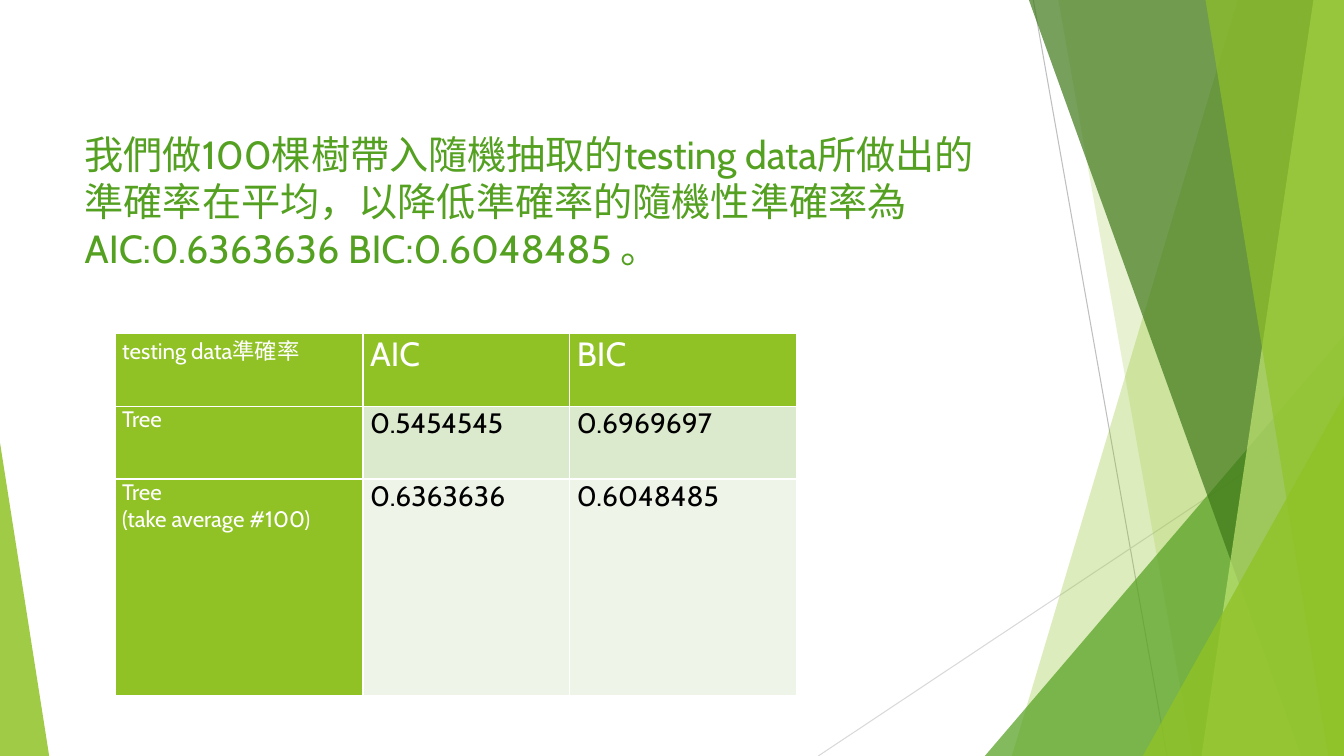
from lxml.etree import SubElement
from pptx import Presentation
from pptx.dml.color import RGBColor
from pptx.enum.shapes import MSO_CONNECTOR as Connector, MSO_SHAPE as Shape
from pptx.enum.text import MSO_ANCHOR as Anchor, MSO_AUTO_SIZE as AutoSize
from pptx.oxml.ns import qn
from pptx.util import Cm, Pt

LIME = RGBColor(0x90, 0xC2, 0x26)
GREEN = RGBColor(0x54, 0xA0, 0x21)
FOREST = RGBColor(0x3F, 0x78, 0x19)
PALE_LIME = RGBColor(0xC0, 0xE4, 0x74)
ROW_TINTS = [RGBColor(0xDB, 0xE9, 0xCD), RGBColor(0xEE, 0xF4, 0xE8)]
GRAY = RGBColor(0xBF, 0xBF, 0xBF)
LIGHT_GRAY = RGBColor(0xD9, 0xD9, 0xD9)
WHITE = RGBColor(0xFF, 0xFF, 0xFF)
BLACK = RGBColor(0, 0, 0)

FONT = "Cabin"
WIDTH, HEIGHT = 33.87, 19.05
STATEMENT = (
    "我們做100棵樹帶入隨機抽取的testing data所做出的準確率在平均，"
    "以降低準確率的隨機性準確率為AIC:0.6363636 BIC:0.6048485 。"
)
ACCURACY = [
    ["testing data準確率", "AIC", "BIC"],
    ["Tree", "0.5454545", "0.6969697"],
    ["Tree\n(take average #100)", "0.6363636", "0.6048485"],
]
COLUMN_WIDTHS = [6.25, 5.21, 5.72]
ROW_HEIGHTS = [1.83, 1.83, 5.46]


def add_run(paragraph, text, size, color):
    run = paragraph.add_run()
    run.text = text
    run.font.name = FONT
    run.font.size = Pt(size)
    run.font.bold = False
    run.font.color.rgb = color


def add_line(slide, start, end, color):
    line = slide.shapes.add_connector(Connector.STRAIGHT, *map(Cm, start + end))
    line.line.color.rgb = color
    line.line.width = Pt(0.75)
    SubElement(line._element.spPr, qn("a:effectLst"))


def paint(shape, color, opacity):
    shape.shadow.inherit = False
    shape.line.fill.background()
    shape.fill.solid()
    shape.fill.fore_color.rgb = color
    color_element = shape.fill._xPr.find(qn("a:solidFill"))[0]
    SubElement(color_element, qn("a:alpha"), val=str(opacity * 1000))


def add_band(slide, top_x, bottom_x, color, opacity):
    builder = slide.shapes.build_freeform(Cm(top_x), 0)
    corners = [(WIDTH, 0), (WIDTH, HEIGHT), (bottom_x, HEIGHT)]
    builder.add_line_segments([(Cm(x), Cm(y)) for x, y in corners], close=True)
    paint(builder.convert_to_shape(), color, opacity)


def add_wedge(slide, left, top, width, apex, color, opacity):
    box = map(Cm, (left, top, width, HEIGHT - top))
    wedge = slide.shapes.add_shape(Shape.ISOSCELES_TRIANGLE, *box)
    wedge.adjustments[0] = apex
    paint(wedge, color, opacity)


def add_decoration(slide):
    add_line(slide, (26.04, 0), (29.41, HEIGHT), GRAY)
    add_line(slide, (WIDTH, 10.24), (20.62, HEIGHT), LIGHT_GRAY)
    add_band(slide, 31.19, 25.5, LIME, 30)
    add_band(slide, 26.67, 30.05, LIME, 20)
    add_wedge(slide, 24.82, 8.46, 9.05, 1, GREEN, 72)
    add_band(slide, 25.93, 32.79, FOREST, 70)
    add_band(slide, 33.1, 30.28, PALE_LIME, 70)
    add_band(slide, 30.38, 33.48, LIME, 65)
    add_wedge(slide, 28.8, 9.98, 5.07, 1, LIME, 80)
    add_wedge(slide, 0, 11.15, 1.24, 0, LIME, 85)


def fill_body(body):
    body.left, body.top, body.width, body.height = map(Cm, (1.88, 3.15, 23.88, 13.64))
    frame = body.text_frame
    frame.word_wrap = True
    frame.auto_size = AutoSize.NONE
    frame.vertical_anchor = Anchor.TOP
    paragraph = frame.paragraphs[0]
    paragraph.space_before = Pt(10)
    properties = paragraph._p.get_or_add_pPr()
    properties.set("marL", "0")
    properties.set("indent", "0")
    SubElement(properties, qn("a:buNone"))
    add_run(paragraph, STATEMENT, 28, GREEN)


def add_borders(cell):
    properties = cell._tc.get_or_add_tcPr()
    for side in ("lnL", "lnR", "lnT", "lnB"):
        border = SubElement(properties, qn(f"a:{side}"), w=str(Pt(1)))
        fill = SubElement(border, qn("a:solidFill"))
        SubElement(fill, qn("a:srgbClr"), val=str(WHITE))


def fill_cell(cell, text, size, color, background):
    add_borders(cell)
    cell.fill.solid()
    cell.fill.fore_color.rgb = background
    cell.margin_left = cell.margin_right = Cm(0.18)
    cell.margin_top = cell.margin_bottom = 0
    frame = cell.text_frame
    for index, line in enumerate(text.split("\n")):
        paragraph = frame.add_paragraph() if index else frame.paragraphs[0]
        add_run(paragraph, line, size, color)


def add_accuracy_table(slide):
    box = map(Cm, (2.9, 8.41, sum(COLUMN_WIDTHS), sum(ROW_HEIGHTS)))
    table = slide.shapes.add_table(len(ROW_HEIGHTS), len(COLUMN_WIDTHS), *box).table
    for column, width in zip(table.columns, COLUMN_WIDTHS):
        column.width = Cm(width)
    for row, height in zip(table.rows, ROW_HEIGHTS):
        row.height = Cm(height)
    for i, texts in enumerate(ACCURACY):
        for j, text in enumerate(texts):
            if j == 0:
                style = 16, WHITE, LIME
            elif i == 0:
                style = 24, WHITE, LIME
            else:
                style = 20, BLACK, ROW_TINTS[i - 1]
            fill_cell(table.cell(i, j), text, *style)


def main():
    presentation = Presentation()
    presentation.slide_width, presentation.slide_height = Cm(WIDTH), Cm(HEIGHT)
    slide = presentation.slides.add_slide(presentation.slide_layouts[1])
    title = slide.shapes.title._element
    title.getparent().remove(title)
    add_decoration(slide)
    fill_body(slide.placeholders[1])
    add_accuracy_table(slide)
    presentation.save("out.pptx")


if __name__ == "__main__":
    main()
